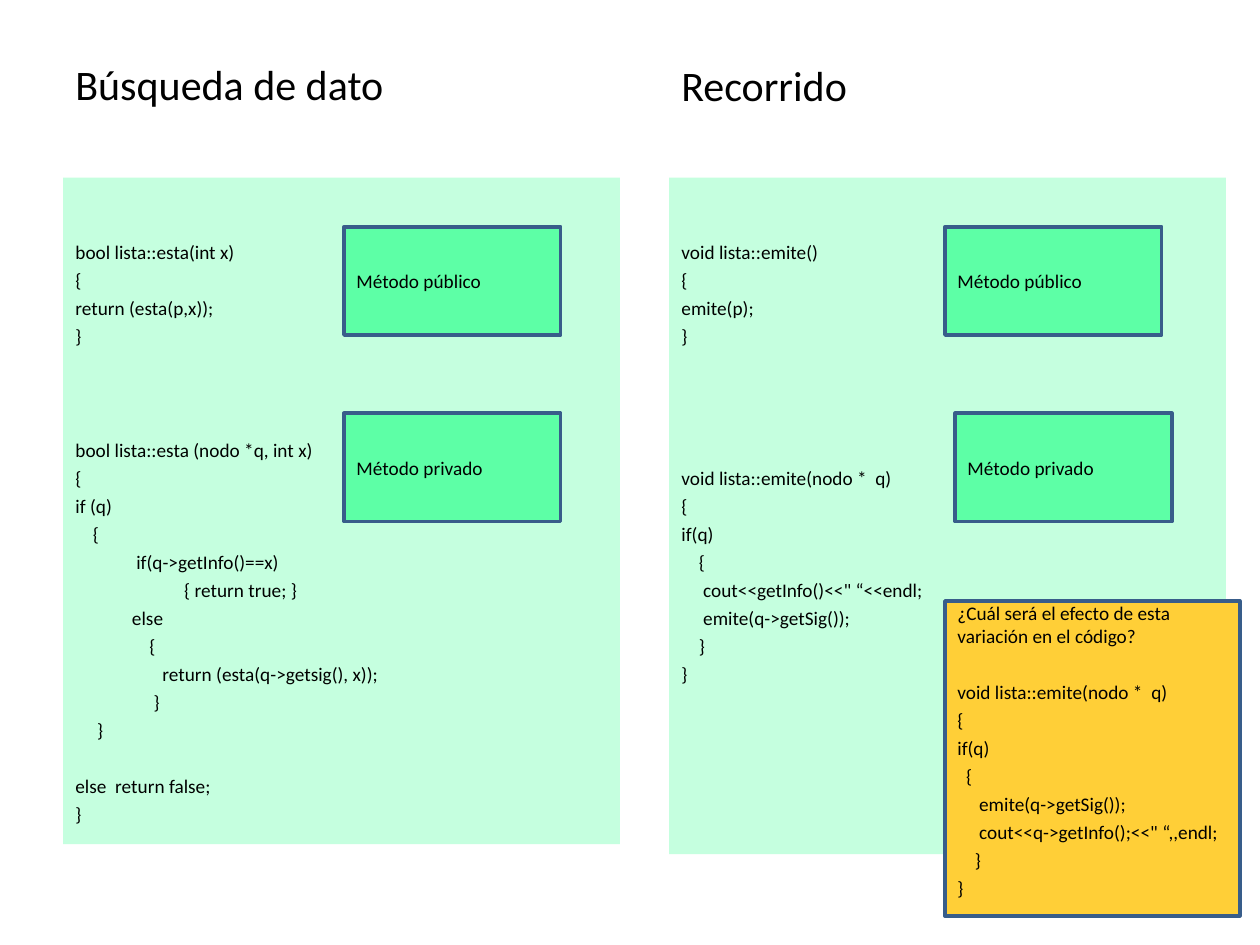
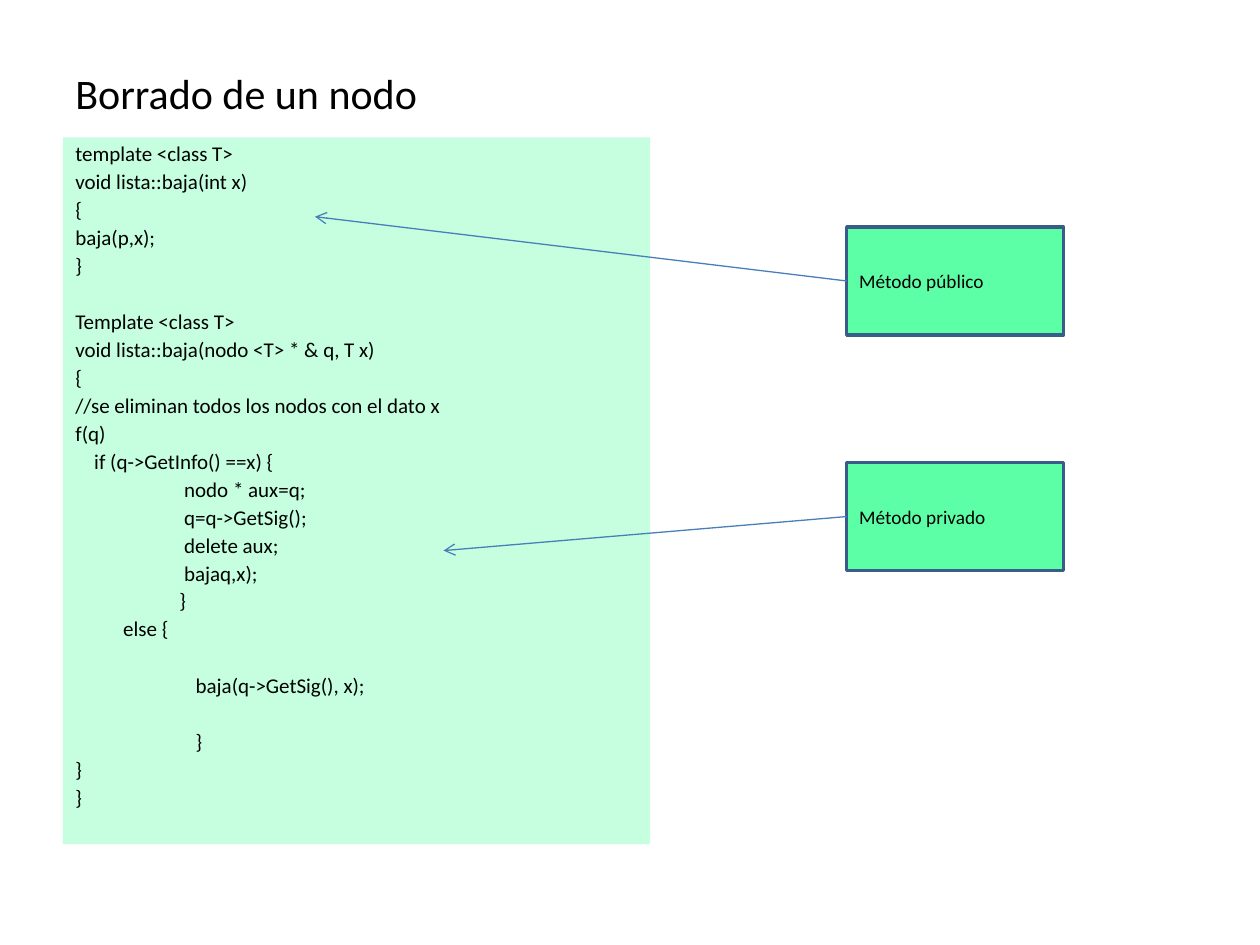
from dataclasses import dataclass
from typing import Any

from lxml.etree import SubElement as Sub
from pptx import Presentation
from pptx.dml.color import RGBColor as Rgb
from pptx.enum.shapes import MSO_CONNECTOR as Link, MSO_SHAPE as Form
from pptx.enum.text import MSO_ANCHOR as Anchor, PP_ALIGN as Align
from pptx.oxml.ns import qn
from pptx.util import Inches, Pt

HUES = {
    "ink": "000000",
    "panel": "C5FFDF",
    "tag": "5DFFA6",
    "note": "FFCF37",
    "edge": "385D8A",
    "arrow": "4A7EBB",
}
FACE = "Calibri"
HANG = 0.38
LEAD = 1.22
TAG_W, TAG_H = 1.72, 0.86


@dataclass
class Style:
    size: float
    before: float = 0
    pitch: float = 1.0
    hang: float = 0


@dataclass
class Box:
    left: float
    top: float
    width: float
    height: float
    text: str
    style: Style
    fill: str = ""
    edge: str = ""
    anchor: Any = Anchor.MIDDLE
    inset: float = 0.05


@dataclass
class Arrow:
    x1: float
    y1: float
    x2: float
    y2: float


HEAD = Style(24)
PLAIN = Style(11)
NOTE = Style(11, 2.8)
CODE = Style(11, 2.8, hang=HANG)
DENSE = Style(12, 3, 0.9, HANG)

FIND = """bool lista::esta(int x)
{
return (esta(p,x));
}



bool lista::esta (nodo *q, int x)
{
if (q)
    {
\t   if(q->getInfo()==x)
                         { return true; }
             else
                 {
\t         return (esta(q->getsig(), x));
                  }
     }

else  return false;
}"""

WALK = """void lista::emite()
{
emite(p);
}




void lista::emite(nodo *  q)
{
if(q)
    {
     cout<<getInfo()<<" “<<endl;
     emite(q->getSig());
    }
}"""

QUIZ = """¿Cuál será el efecto de esta variación en el código?

void lista::emite(nodo *  q)
{
if(q)
  {
     emite(q->getSig());
     cout<<q->getInfo();<<" “,,endl;
    }
}"""

DROP = """template <class T>
void lista::baja(int x)
{
baja(p,x);
}

Template <class T>
void lista::baja(nodo <T> * & q, T x)
{
//se eliminan todos los nodos con el dato x
f(q)
    if (q->GetInfo() ==x) {
                       nodo * aux=q;
                       q=q->GetSig();
                       delete aux;
                       bajaq,x);
                      }
\telse {

\t\t  baja(q->GetSig(), x);

\t\t  }
}
}"""


def paint(item: Any, values: dict[str, Any]) -> None:
    for name, value in values.items():
        setattr(item, name, value)


def hue(name: str) -> Rgb:
    return Rgb.from_string(HUES[name])


def indent(para: Any, hang: float) -> None:
    props = para._p.get_or_add_pPr()
    props.set("marL", str(Inches(hang)))
    props.set("indent", str(-Inches(hang)))
    stops = Sub(props, qn("a:tabLst"))
    for step in range(8):
        Sub(stops, qn("a:tab"), pos=str(Inches(step)), algn="l")


def write(frame: Any, text: str, style: Style) -> None:
    row = style.size * LEAD * style.pitch + style.before
    skips = 0
    first = True
    for line in text.split("\n"):
        if not line:
            skips += 1
            continue
        para = frame.paragraphs[0] if first else frame.add_paragraph()
        if style.hang:
            indent(para, style.hang)
        space = 0 if first else style.before + skips * row
        paint(para, {
            "alignment": Align.LEFT,
            "line_spacing": style.pitch,
            "space_before": Pt(round(space, 1)),
        })
        run = para.add_run()
        run.text = line
        paint(run.font, {"name": FACE, "size": Pt(style.size)})
        run.font.color.rgb = hue("ink")
        first, skips = False, 0


def draw_box(slide: Any, box: Box) -> None:
    area = [Inches(n) for n in (box.left, box.top, box.width, box.height)]
    if box.fill:
        shape = slide.shapes.add_shape(Form.RECTANGLE, *area)
        shape.shadow.inherit = False
        shape.fill.solid()
        shape.fill.fore_color.rgb = hue(box.fill)
        if box.edge:
            shape.line.color.rgb = hue(box.edge)
            shape.line.width = Pt(2)
        else:
            shape.line.fill.background()
    else:
        shape = slide.shapes.add_textbox(*area)
    paint(shape.text_frame, {
        "word_wrap": True,
        "vertical_anchor": box.anchor,
        "margin_left": Inches(0.1),
        "margin_right": Inches(0.1),
        "margin_top": Inches(box.inset),
        "margin_bottom": Inches(0.05),
    })
    write(shape.text_frame, box.text, box.style)


def draw_arrow(slide: Any, arrow: Arrow) -> None:
    ends = [Inches(n) for n in (arrow.x1, arrow.y1, arrow.x2, arrow.y2)]
    link = slide.shapes.add_connector(Link.STRAIGHT, *ends)
    link.line.color.rgb = hue("arrow")
    link.line.width = Pt(0.75)
    Sub(link.line._get_or_add_ln(), qn("a:tailEnd"), type="arrow")
    Sub(link._element.spPr, qn("a:effectLst"))


def title(left: float, top: float, width: float, height: float, text: str) -> Box:
    return Box(left, top, width, height, text, HEAD)


def panel(left: float, top: float, width: float, height: float,
          text: str, style: Style, inset: float = 0.05) -> Box:
    return Box(left, top, width, height, text, style, "panel",
               anchor=Anchor.TOP, inset=inset)


def tag(left: float, top: float, kind: str) -> Box:
    return Box(left, top, TAG_W, TAG_H, f"Método {kind}", PLAIN, "tag", "edge")


PAGES: list[list[Box | Arrow]] = [
    [
        title(0.5, 0.3, 4.27, 0.72, "Búsqueda de dato"),
        panel(0.5, 1.41, 4.42, 5.29, FIND, CODE, 0.5),
        panel(5.31, 1.41, 4.42, 5.37, WALK, CODE, 0.5),
        title(5.31, 0.31, 4.27, 0.72, "Recorrido"),
        tag(2.73, 1.8, "público"),
        tag(7.5, 1.8, "público"),
        tag(2.73, 3.28, "privado"),
        tag(7.58, 3.28, "privado"),
        Box(7.5, 4.77, 2.34, 2.5, QUIZ, NOTE, "note", "edge", Anchor.TOP, 0),
    ],
    [
        title(0.5, 0.3, 9, 0.87, "Borrado de un nodo"),
        panel(0.5, 1.09, 4.66, 5.61, DROP, DENSE),
        tag(6.72, 1.8, "público"),
        tag(6.72, 3.67, "privado"),
        Arrow(6.72, 2.23, 2.5, 1.72),
        Arrow(6.72, 4.1, 3.52, 4.37),
    ],
]


def main() -> None:
    deck = Presentation()
    paint(deck, {"slide_width": Inches(10), "slide_height": Inches(7.5)})
    for page in PAGES:
        slide = deck.slides.add_slide(deck.slide_layouts[6])
        for item in page:
            if isinstance(item, Arrow):
                draw_arrow(slide, item)
            else:
                draw_box(slide, item)
    deck.save("out.pptx")


if __name__ == "__main__":
    main()
